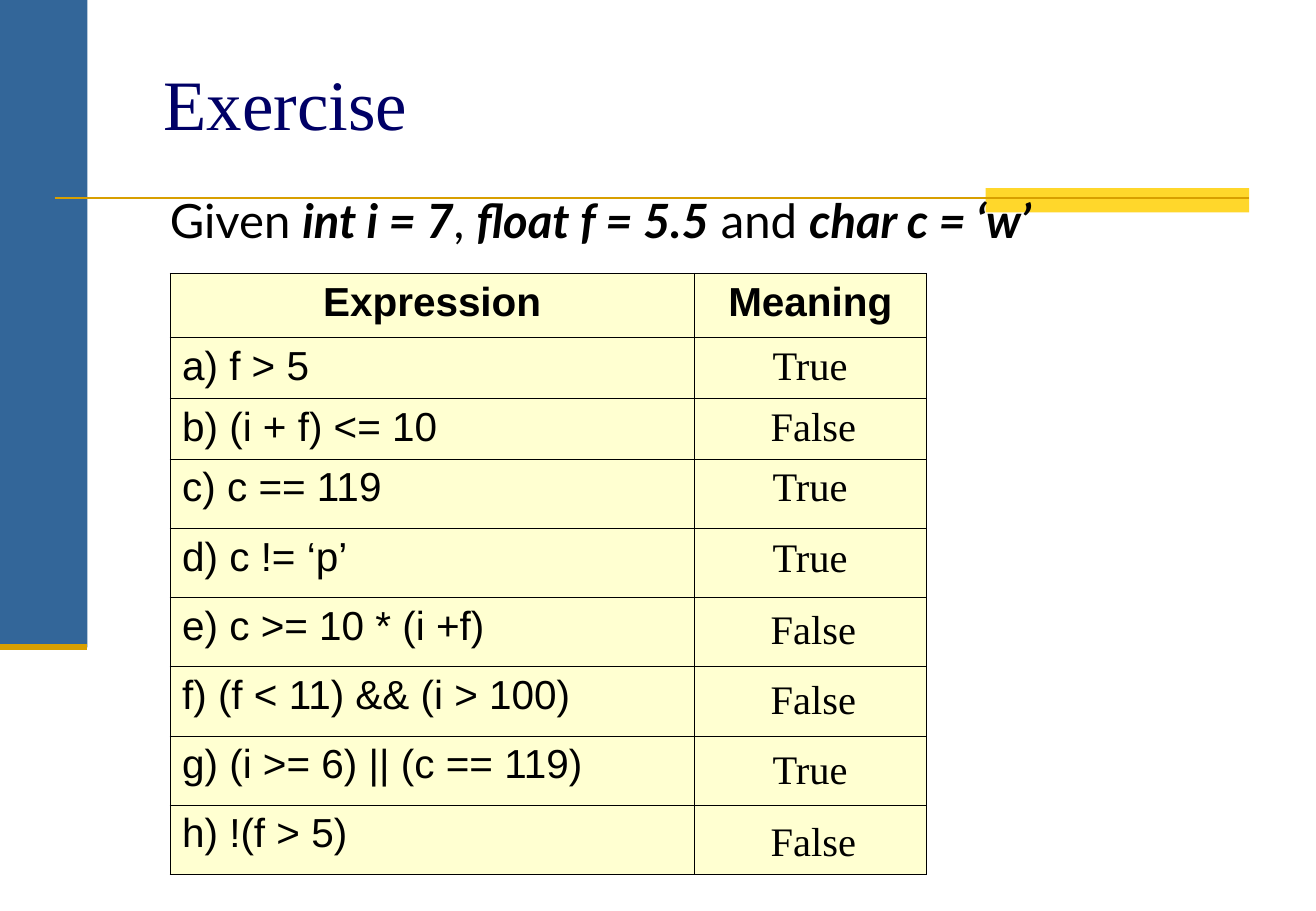
from dataclasses import dataclass, field

from lxml.etree import SubElement
from pptx import Presentation
from pptx.dml.color import RGBColor
from pptx.enum.shapes import MSO_CONNECTOR, MSO_SHAPE
from pptx.enum.text import MSO_ANCHOR, PP_ALIGN
from pptx.oxml.ns import qn
from pptx.util import Inches, Pt

BLUE = RGBColor(0x33, 0x66, 0x99)
YELLOW = RGBColor(0xFF, 0xD7, 0x2B)
GOLD = RGBColor(0xD8, 0x9F, 0x00)
CREAM = RGBColor(0xFF, 0xFF, 0xD1)
NAVY = RGBColor(0x00, 0x00, 0x66)
BLACK = RGBColor(0x00, 0x00, 0x00)

SERIF = {"name": "Times New Roman", "size": Pt(24)}
SANS = {"name": "Arial", "size": Pt(24)}
GIVEN = {"name": "Lato", "size": Pt(28)}
CODE = {**GIVEN, "bold": True, "italic": True}
TITLE = {"name": "Times New Roman", "size": Pt(42)}


@dataclass
class Span:
    text: str
    font: dict
    color: RGBColor = BLACK


@dataclass
class Label:
    left: float
    top: float
    width: float
    height: float
    spans: list[Span]
    frame: dict = field(default_factory=dict)
    para: dict = field(default_factory=dict)


@dataclass
class Bar:
    left: float
    top: float
    width: float
    height: float
    color: RGBColor


@dataclass
class Rule:
    left: float
    right: float
    y: float
    weight: float


@dataclass
class Question:
    expression: str
    meaning: str
    row_height: float
    answer_top: float


BARS = [Bar(0, 0, 0.72, 5.33, BLUE), Bar(8.12, 1.55, 2.17, 0.2, YELLOW)]
RULES = [Rule(0.45, 10.29, 1.63, 1.5), Rule(0, 0.72, 5.33, 3.5)]
QUESTIONS = [
    Question("a) f > 5", "True", 0.5, 2.75),
    Question("b) (i + f) <= 10", "False", 0.5, 3.25),
    Question("c) c == 119", "True", 0.57, 3.75),
    Question("d) c != ‘p’", "True", 0.57, 4.33),
    Question("e) c >= 10 * (i +f)", "False", 0.57, 4.92),
    Question("f) (f < 11) && (i > 100)", "False", 0.57, 5.5),
    Question("g) (i >= 6) || (c == 119)", "True", 0.57, 6.08),
    Question("h) !(f > 5)", "False", 0.57, 6.67),
]
COLUMN_WIDTHS = [4.32, 1.91]
HEADER_HEIGHT = 0.53
ANSWER_WIDTHS = {"True": 0.83, "False": 0.9}


def apply_format(target, values: dict) -> None:
    for name, value in values.items():
        setattr(target, name, value)


def add_spans(para, spans: list[Span]) -> None:
    for span in spans:
        run = para.add_run()
        run.text = span.text
        apply_format(run.font, span.font)
        run.font.color.rgb = span.color


def add_label(page, label: Label) -> None:
    box = page.shapes.add_textbox(
        Inches(label.left), Inches(label.top), Inches(label.width), Inches(label.height)
    )
    frame = box.text_frame
    apply_format(frame, {"word_wrap": True, "vertical_anchor": MSO_ANCHOR.TOP, **label.frame})
    para = frame.paragraphs[0]
    apply_format(para, label.para)
    add_spans(para, label.spans)


def add_bar(page, bar: Bar) -> None:
    shape = page.shapes.add_shape(
        MSO_SHAPE.RECTANGLE,
        Inches(bar.left), Inches(bar.top), Inches(bar.width), Inches(bar.height),
    )
    shape.shadow.inherit = False
    shape.fill.solid()
    shape.fill.fore_color.rgb = bar.color
    shape.line.fill.background()


def add_rule(page, rule: Rule) -> None:
    line = page.shapes.add_connector(
        MSO_CONNECTOR.STRAIGHT,
        Inches(rule.left), Inches(rule.y), Inches(rule.right), Inches(rule.y),
    )
    line.line.color.rgb = GOLD
    line.line.width = Pt(rule.weight)
    SubElement(line._element.spPr, qn("a:effectLst"))


def style_cell(cell) -> None:
    properties = cell._tc.get_or_add_tcPr()
    for side in ("lnL", "lnR", "lnT", "lnB"):
        border = SubElement(properties, qn(f"a:{side}"), w=str(Pt(0.45)))
        fill = SubElement(border, qn("a:solidFill"))
        SubElement(fill, qn("a:srgbClr"), val=str(BLACK))
    cell.fill.solid()
    cell.fill.fore_color.rgb = CREAM


def add_question_table(page) -> None:
    heights = [HEADER_HEIGHT] + [question.row_height for question in QUESTIONS]
    table = page.shapes.add_table(
        len(heights), len(COLUMN_WIDTHS), Inches(1.4), Inches(2.25),
        Inches(sum(COLUMN_WIDTHS)), Inches(sum(heights)),
    ).table
    for column, width in zip(table.columns, COLUMN_WIDTHS):
        column.width = Inches(width)
    for row, height in zip(table.rows, heights):
        row.height = Inches(height)
    for cell in table.iter_cells():
        style_cell(cell)
    for index, heading in enumerate(("Expression", "Meaning")):
        para = table.cell(0, index).text_frame.paragraphs[0]
        para.alignment = PP_ALIGN.CENTER
        add_spans(para, [Span(heading, {**SANS, "bold": True})])
    for index, question in enumerate(QUESTIONS, start=1):
        para = table.cell(index, 0).text_frame.paragraphs[0]
        add_spans(para, [Span(question.expression, {**SANS, "bold": False})])


def add_answer(page, question: Question) -> None:
    add_label(page, Label(
        6.25, question.answer_top, ANSWER_WIDTHS[question.meaning], 0.5,
        [Span(question.meaning, SERIF)],
        frame={"margin_left": 0},
        para={"alignment": PP_ALIGN.RIGHT},
    ))


def main() -> None:
    deck = Presentation()
    deck.slide_width = Inches(10.84)
    deck.slide_height = Inches(7.5)
    page = deck.slides.add_slide(deck.slide_layouts[6])
    for bar in BARS:
        add_bar(page, bar)
    for rule in RULES:
        add_rule(page, rule)
    add_label(page, Label(
        0.92, 1.58, 9.17, 1.21,
        [
            Span("Given ", GIVEN),
            Span("int i = 7", CODE),
            Span(", ", GIVEN),
            Span("float f = 5.5", CODE),
            Span(" and ", GIVEN),
            Span("char c = ‘w’", CODE),
        ],
        frame={"margin_left": Inches(0.48)},
        para={"line_spacing": 0.9, "space_before": Pt(5.6)},
    ))
    add_question_table(page)
    for question in QUESTIONS:
        add_answer(page, question)
    add_label(page, Label(1.25, 0.44, 9.21, 1.25, [Span("Exercise", TITLE, NAVY)]))
    deck.save("out.pptx")


if __name__ == "__main__":
    main()
